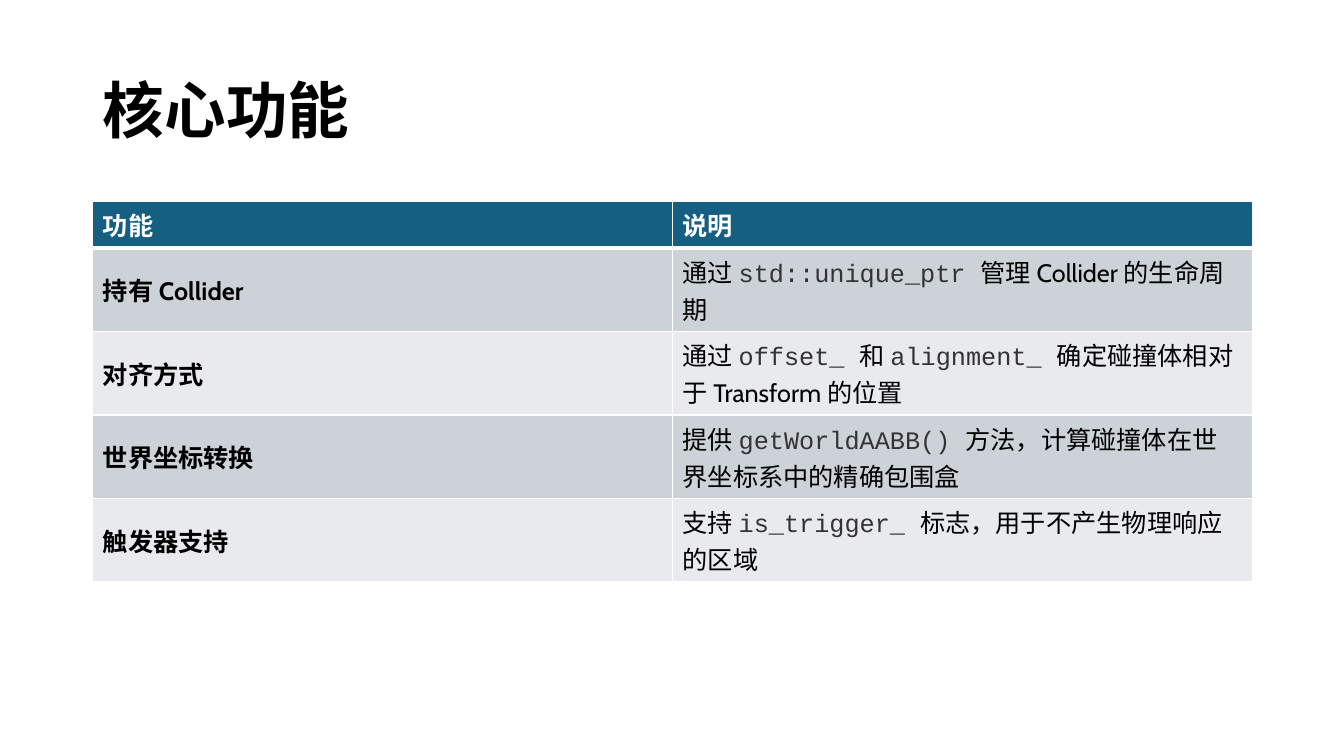
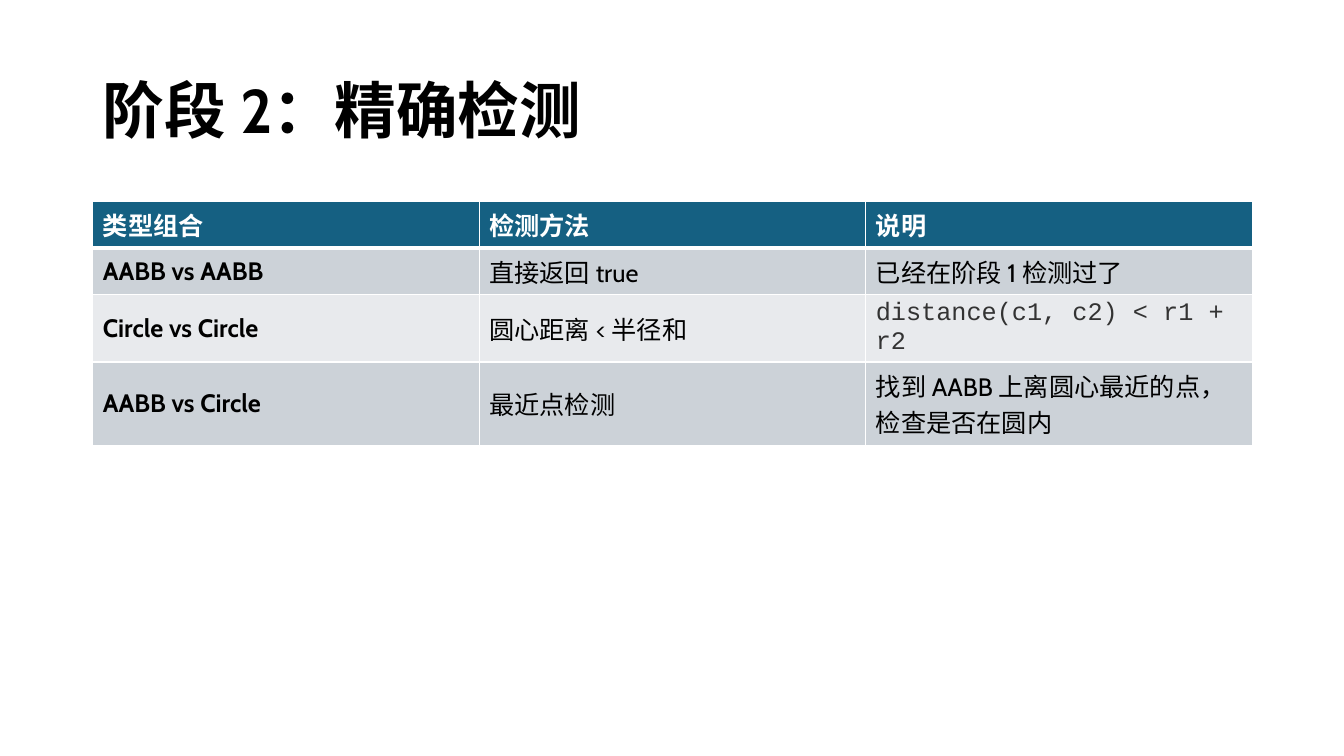
"""Build two slides that explain collision features and detection in tables."""
from lxml import etree
from pptx import Presentation
from pptx.dml.color import RGBColor
from pptx.enum.lang import MSO_LANGUAGE_ID as Language
from pptx.enum.text import MSO_ANCHOR as Anchor, PP_ALIGN as Align
from pptx.oxml.ns import qn
from pptx.util import Inches, Pt

BLACK = RGBColor(0x00, 0x00, 0x00)
WHITE = RGBColor(0xFF, 0xFF, 0xFF)
CODE_GRAY = RGBColor(0x33, 0x33, 0x33)
HEADER_BLUE = RGBColor(0x15, 0x60, 0x82)
BAND_DARK = RGBColor(0xCC, 0xD2, 0xD8)
BAND_LIGHT = RGBColor(0xE8, 0xEA, 0xED)

TEXT_FONT = "Cabin"
CODE_FONT = "Courier New"
LEFT, WIDTH = 0.92, 11.5
ROW_HEIGHT = 0.41

FEATURES = [
    ["功能", "说明"],
    ["持有 Collider", "通过 `std::unique_ptr `管理 Collider 的生命周期"],
    ["对齐方式", "通过 `offset_ `和 `alignment_ `确定碰撞体相对于 Transform 的位置"],
    ["世界坐标转换", "提供 `getWorldAABB() `方法，计算碰撞体在世界坐标系中的精确包围盒"],
    ["触发器支持", "支持 `is_trigger_ `标志，用于不产生物理响应的区域"],
]
DETECTION = [
    ["类型组合", "检测方法", "说明"],
    ["AABB vs AABB", "直接返回 true", "已经在阶段 1 检测过了"],
    ["Circle vs Circle", "圆心距离 < 半径和", "`distance(c1, c2) < r1 + r2`"],
    ["AABB vs Circle", "最近点检测", "找到 AABB 上离圆心最近的点，检查是否在圆内"],
]


def style_run(run, size, color, bold, font=TEXT_FONT):
    """Give a run its font, size, colour and weight."""
    run.font.name = font
    run.font.size = Pt(size)
    run.font.color.rgb = color
    run.font.bold = bold
    run.font.language_id = Language.SIMPLIFIED_CHINESE


def set_title(slide, text):
    """Fill and place the title placeholder."""
    title = slide.shapes.title
    title.left, title.top = Inches(LEFT), Inches(0.4)
    title.width, title.height = Inches(WIDTH), Inches(1.45)
    title.text_frame.text = text
    title.text_frame.vertical_anchor = Anchor.MIDDLE
    paragraph = title.text_frame.paragraphs[0]
    paragraph.alignment = Align.LEFT
    paragraph.line_spacing = 0.9
    style_run(paragraph.runs[0], 44, BLACK, True)


def set_borders(cell, top, bottom):
    """Draw white cell borders with the given top and bottom widths in points."""
    properties = cell._tc.get_or_add_tcPr()
    sides = [("a:lnL", 1), ("a:lnR", 1), ("a:lnT", top), ("a:lnB", bottom)]
    for position, (tag, width) in enumerate(sides):
        line = etree.Element(qn(tag), w=str(Pt(width)))
        fill = etree.SubElement(line, qn("a:solidFill"))
        etree.SubElement(fill, qn("a:srgbClr"), val=str(WHITE))
        properties.insert(position, line)


def fill_cell(cell, text, row, column):
    """Write a cell whose backquoted parts are code, styled by its place."""
    is_header = row == 0
    cell.vertical_anchor = Anchor.MIDDLE
    cell.fill.solid()
    band = BAND_DARK if row % 2 else BAND_LIGHT
    cell.fill.fore_color.rgb = HEADER_BLUE if is_header else band
    set_borders(cell, top=3 if row == 1 else 1, bottom=3 if is_header else 1)
    paragraph = cell.text_frame.paragraphs[0]
    for index, part in enumerate(text.split("`")):
        if not part:
            continue
        run = paragraph.add_run()
        run.text = part
        if index % 2:
            style_run(run, 18, CODE_GRAY, False, CODE_FONT)
        else:
            style_run(run, 18, WHITE if is_header else BLACK, is_header or column == 0)


def add_grid(slide, rows):
    """Add a banded table with equal columns."""
    count = len(rows[0])
    table = slide.shapes.add_table(
        len(rows), count, Inches(LEFT), Inches(2),
        Inches(WIDTH), Inches(ROW_HEIGHT * len(rows))).table
    for column in table.columns:
        column.width = Inches(WIDTH / count)
    for row, texts in enumerate(rows):
        for column, text in enumerate(texts):
            fill_cell(table.cell(row, column), text, row, column)


def main():
    """Build and save the presentation."""
    presentation = Presentation()
    presentation.slide_width = Inches(13.33)
    presentation.slide_height = Inches(7.5)
    title_only = presentation.slide_layouts.get_by_name("Title Only")
    for title, rows in [("核心功能", FEATURES), ("阶段 2：精确检测", DETECTION)]:
        slide = presentation.slides.add_slide(title_only)
        set_title(slide, title)
        add_grid(slide, rows)
    presentation.save("out.pptx")


if __name__ == "__main__":
    main()
